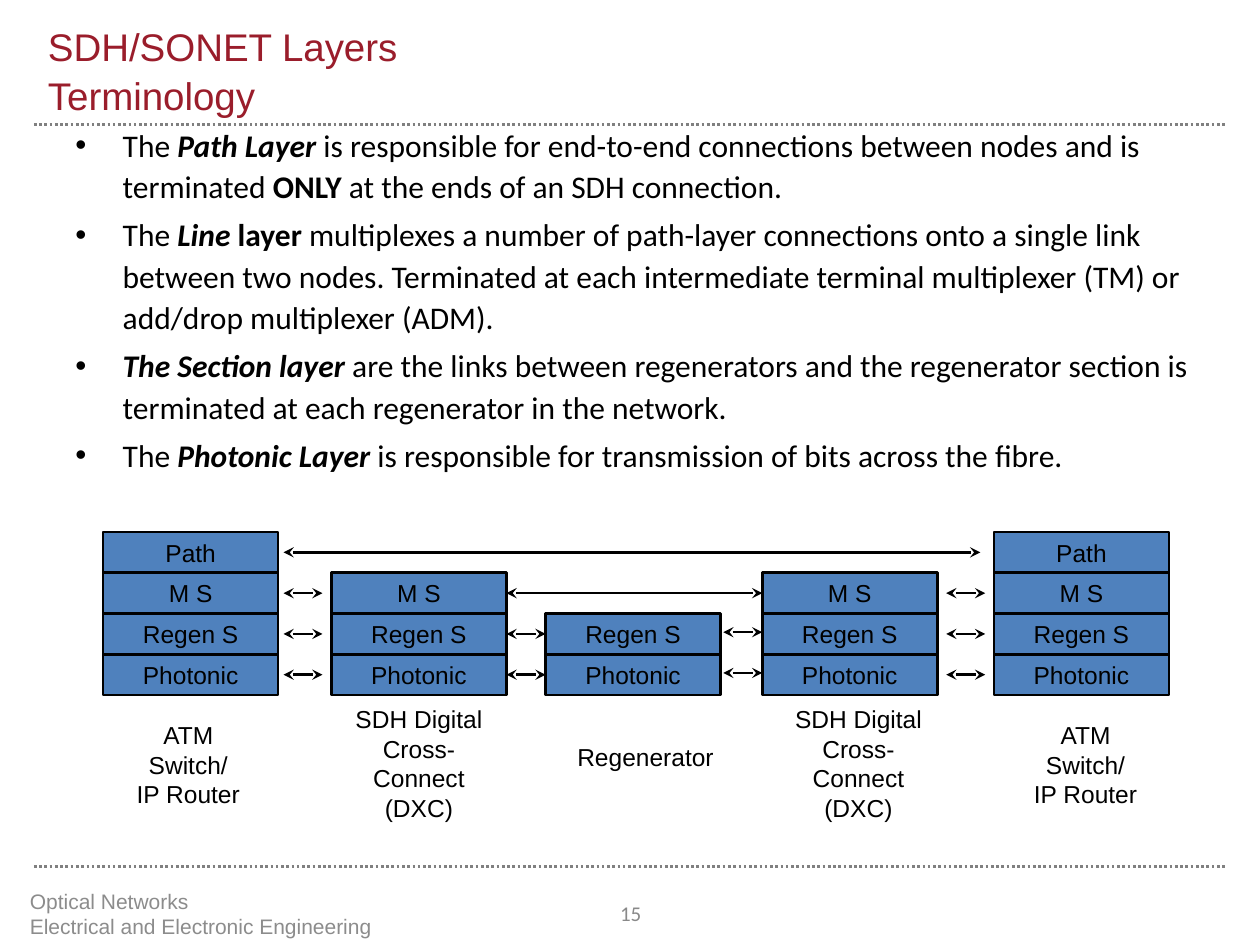
from lxml import etree
from pptx import Presentation
from pptx.dml.color import RGBColor
from pptx.enum import dml, shapes, text
from pptx.oxml import ns
from pptx.util import Pt

COLORS = {"title": "9A1D2B", "ink": "000000", "layer": "4F81BD",
          "rule": "808080", "footer": "8C8C8C", "number": "898989"}
LAYERS = ["Path", "M S", "Regen S", "Photonic"]
STACK_TOP, LAYER_WIDTH, LAYER_HEIGHT = 304, 100, 23.3
NODES = [(59, 0), (189.4, 1), (311.8, 2), (435.6, 1), (568, 0)]
LINKS = [(162, 560.2, [0], 0), (289.4, 435.6, [1], 0),
         (162, 184.3, [1, 2, 3], 0), (289.4, 311.8, [2, 3], 0),
         (413.3, 435.6, [2, 3], -1), (540.7, 563, [1, 2, 3], 0)]
ROUTER = "ATM Switch/\vIP Router"
CROSS_CONNECT = "SDH Digital Cross- Connect (DXC)"
CAPTIONS = [(66.2, 408, 82.8, ROUTER), (189.4, 399, 100, CROSS_CONNECT),
            (321, 420.5, 95.8, "Regenerator"),
            (440.6, 399, 100, CROSS_CONNECT), (578.9, 408, 82.8, ROUTER)]
DEFINITIONS = [
    [("The ", ""), ("Path Layer", "bi"),
     (" is responsible for end-to-end connections between nodes and is terminated ", ""),
     ("ONLY", "b"), (" at the ends of an SDH connection.", "")],
    [("The ", ""), ("Line ", "bi"), ("layer", "b"),
     (" multiplexes a number of path-layer connections onto a single link between two nodes. "
      "Terminated at each intermediate terminal multiplexer (TM) or add/drop multiplexer (ADM).", "")],
    [("The Section layer", "bi"),
     (" are the links between regenerators and the regenerator section is "
      "terminated at each regenerator in the network.", "")],
    [("The ", ""), ("Photonic Layer", "bi"),
     (" is responsible for transmission of bits across the fibre.", "")],
]


def rgb(name):
    return RGBColor.from_string(COLORS[name])


def add_run(paragraph, words, size, color="ink", face="Arial", style=""):
    for index, line in enumerate(words.split("\v")):
        if index:
            paragraph.add_line_break()
        run = paragraph.add_run()
        run.text = line
        run.font.size = Pt(size)
        run.font.name = face
        run.font.color.rgb = rgb(color)
        run.font.bold = "b" in style
        run.font.italic = "i" in style


def add_line(slide, x1, y1, x2, y2, color="ink"):
    line = slide.shapes.add_connector(
        shapes.MSO_CONNECTOR.STRAIGHT, Pt(x1), Pt(y1), Pt(x2), Pt(y2))
    line.line.color.rgb = rgb(color)
    line.line.width = Pt(1.5)
    etree.SubElement(line._element.spPr, ns.qn("a:effectLst"))
    return line


def add_rule(slide, y):
    rule = add_line(slide, 19.4, y, 700.6, y, "rule")
    rule.line.dash_style = dml.MSO_LINE.ROUND_DOT


def add_link(slide, x1, x2, y):
    link = add_line(slide, x1, y, x2, y)
    for end in ("headEnd", "tailEnd"):
        etree.SubElement(link.line._get_or_add_ln(), ns.qn(f"a:{end}"), type="stealth")


def add_textbox(slide, left, top, width, height, anchor=text.MSO_ANCHOR.TOP):
    frame = slide.shapes.add_textbox(Pt(left), Pt(top), Pt(width), Pt(height)).text_frame
    frame.word_wrap = True
    frame.vertical_anchor = anchor
    return frame


def add_caption(slide, left, top, width, height, words, size=14, color="ink",
                face="Arial", align=text.PP_ALIGN.CENTER, anchor=text.MSO_ANCHOR.TOP):
    paragraph = add_textbox(slide, left, top, width, height, anchor).paragraphs[0]
    paragraph.alignment = align
    add_run(paragraph, words, size, color, face)


def add_layer(slide, left, level):
    layer = slide.shapes.add_shape(
        shapes.MSO_SHAPE.RECTANGLE, Pt(left), Pt(STACK_TOP + level * LAYER_HEIGHT),
        Pt(LAYER_WIDTH), Pt(LAYER_HEIGHT))
    layer.shadow.inherit = False
    layer.fill.solid()
    layer.fill.fore_color.rgb = rgb("layer")
    layer.line.color.rgb = rgb("ink")
    layer.line.width = Pt(1.5)
    frame = layer.text_frame
    frame.word_wrap = False
    frame.vertical_anchor = text.MSO_ANCHOR.MIDDLE
    frame.paragraphs[0].alignment = text.PP_ALIGN.CENTER
    add_run(frame.paragraphs[0], LAYERS[level], 14)


def set_title(slide, words):
    title = slide.shapes.title
    title.left, title.top, title.width, title.height = Pt(20.2), Pt(0), Pt(680.4), Pt(71.3)
    title.text_frame.vertical_anchor = text.MSO_ANCHOR.BOTTOM
    paragraph = title.text_frame.paragraphs[0]
    paragraph.alignment = text.PP_ALIGN.LEFT
    paragraph.line_spacing = 1.06
    add_run(paragraph, words, 22, "title")


def add_definitions(slide):
    frame = add_textbox(slide, 36, 66.2, 661, 237.6)
    for index, runs in enumerate(DEFINITIONS):
        paragraph = frame.add_paragraph() if index else frame.paragraphs[0]
        properties = paragraph._p.get_or_add_pPr()
        properties.set("marL", str(Pt(27)))
        properties.set("indent", str(Pt(-27)))
        etree.SubElement(properties, ns.qn("a:buFont"), typeface="Arial")
        etree.SubElement(properties, ns.qn("a:buChar"), char="•")
        paragraph.line_spacing = 1.1
        paragraph.space_before = Pt(3.6 if index else 0)
        for words, style in runs:
            add_run(paragraph, words, 18, face="Calibri", style=style)


def main():
    deck = Presentation()
    deck.slide_width, deck.slide_height = Pt(720), Pt(540)
    slide = deck.slides.add_slide(deck.slide_layouts[5])
    for y in (71.3, 495.2):
        add_rule(slide, y)
    set_title(slide, "SDH/SONET Layers\vTerminology")
    add_definitions(slide)
    for left, top_level in NODES:
        for level in range(top_level, len(LAYERS)):
            add_layer(slide, left, level)
    for start, end, levels, shift in LINKS:
        for level in levels:
            add_link(slide, start, end, STACK_TOP + (level + 0.5) * LAYER_HEIGHT + shift)
    for left, top, width, words in CAPTIONS:
        add_caption(slide, left, top, width, 58, words)
    middle = text.MSO_ANCHOR.MIDDLE
    add_caption(slide, 10, 507.6, 304.6, 28.8,
                "Optical Networks\vElectrical and Electronic Engineering",
                12, "footer", align=text.PP_ALIGN.LEFT, anchor=middle)
    add_caption(slide, 332, 507.6, 56.9, 28.8, "15", 12, "number", "Calibri", anchor=middle)
    deck.save("out.pptx")


if __name__ == "__main__":
    main()
